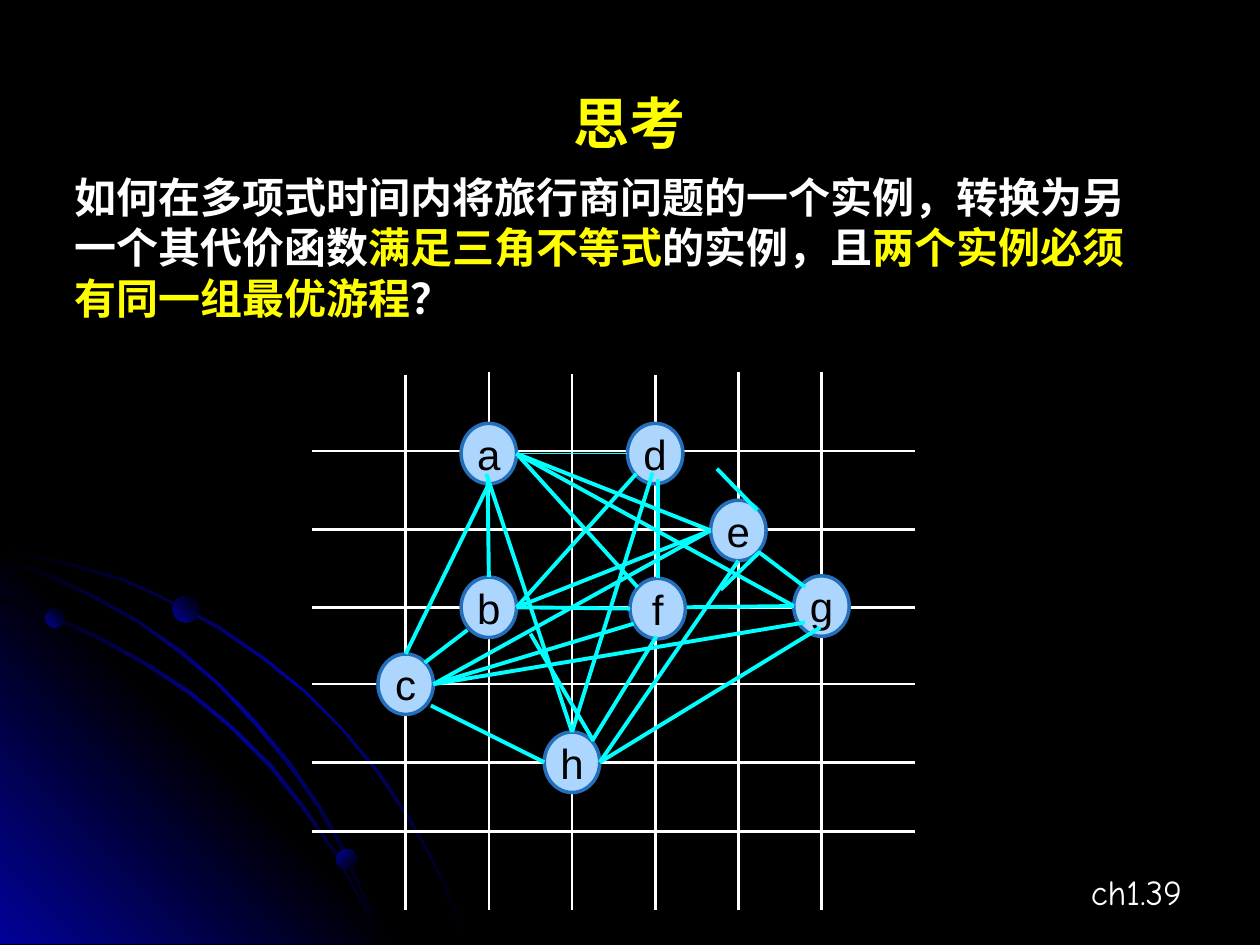
from lxml import etree
from pptx import Presentation
from pptx import util as u
from pptx.dml.color import RGBColor
from pptx.enum import shapes, text
from pptx.oxml import parse_xml
from pptx.oxml.ns import nsdecls, qn

PX = 9144  # one px is a hundredth of an inch
COLORS = {"black": "000000", "navy": "010199", "white": "FFFFFF", "yellow": "FFFF00",
          "cyan": "00FFFF", "node": "ADD6FF", "node_line": "236FBC"}

# Decorative arcs, relative to the swirl box
ARCS = [
    [(57, 47), (28, 41), (0, 35), (0, 38), (28, 43), (56, 49), (97, 61), (135, 78),
     (173, 99), (208, 123), (241, 149), (271, 179), (298, 212), (323, 249), (337, 273),
     (350, 298), (360, 323), (370, 349), (372, 349), (362, 323), (352, 298), (339, 273),
     (325, 248), (300, 211), (272, 178), (242, 148), (209, 121), (174, 97), (136, 77),
     (98, 59)],
    [(285, 314), (294, 332), (301, 349), (303, 349), (296, 330), (286, 312), (266, 276),
     (242, 240), (215, 206), (184, 176), (152, 149), (117, 126), (79, 105), (41, 88),
     (0, 75), (0, 77), (39, 90), (77, 107), (115, 128), (150, 151), (183, 178),
     (213, 208), (240, 242), (265, 277)],
    [(0, 42), (0, 44), (36, 57), (74, 75), (109, 94), (142, 118), (173, 144), (202, 175),
     (227, 205), (252, 241), (267, 267), (280, 294), (292, 322), (301, 349), (303, 349),
     (294, 320), (282, 293), (269, 265), (254, 239), (229, 203), (204, 173), (175, 143),
     (144, 116), (111, 93), (76, 73), (39, 55)],
]
CORNER = [(322, 349), (0, 349), (0, 27)]
BEADS = [(36, 83, 15, 315), (267, 274, 16, 45), (137, 73, 21, 315)]  # left, top, size, angle

# Graph: grid lines and nodes relative to the graph box, edge ends relative to a node
ROWS = [63, 125, 187, 248, 310, 365]
COLUMN_TOPS = [3, 0, 2, 3, 0, 0]
COLUMN_LEFT, COLUMN_STEP = 74, 66
NODE_WIDTH, NODE_HEIGHT = 44, 48
NODES = {"a": (118, 41), "d": (250, 41), "b": (118, 163), "c": (52, 224),
         "h": (184, 286), "e": (316, 102), "f": (252, 164), "g": (382, 162)}
TOP, LEFT, BOTTOM, RIGHT = (22, 0), (0, 24), (22, 48), (44, 24)
EDGES = [
    ("a", RIGHT, "d", LEFT), ("a", RIGHT, "f", (6, 7)), ("a", (21, 45), "b", TOP),
    ("a", BOTTOM, "c", TOP), ("c", (42, 41), "h", LEFT), ("b", (5, 42), "c", (37, 7)),
    ("b", RIGHT, "f", LEFT), ("e", (5, -25), "e", (37, 8)), ("e", (38, 41), "g", (9, 9)),
    ("g", (21, 41), "h", RIGHT), ("f", (21, 46), "h", (38, 7)), ("f", (45, 23), "g", LEFT),
    ("e", (39, 41), "e", (8, 71)), ("d", (24, 44), "f", TOP), ("d", (7, 40), "b", RIGHT),
    ("a", (20, 40), "h", TOP), ("f", (3, 36), "c", RIGHT), ("a", RIGHT, "g", LEFT),
    ("g", (9, 37), "c", RIGHT), ("e", LEFT, "c", RIGHT), ("b", (55, 45), "h", (39, 7)),
    ("d", (20, 39), "h", TOP), ("e", BOTTOM, "h", RIGHT), ("e", LEFT, "b", RIGHT),
    ("a", RIGHT, "e", LEFT),
]


def rgb(name):
    return RGBColor.from_string(COLORS[name])


def fill_gradient(shape, names, angle):
    """Spread the named colours evenly along a linear gradient without outline."""
    stops = "".join(
        f'<a:gs pos="{100000 * i // (len(names) - 1)}"><a:srgbClr val="{COLORS[name]}"/></a:gs>'
        for i, name in enumerate(names))
    gradient = parse_xml(f'<a:gradFill {nsdecls("a")} rotWithShape="1"><a:gsLst>{stops}</a:gsLst>'
                         f'<a:lin ang="{angle * 60000}" scaled="0"/></a:gradFill>')
    shape.fill.background()
    properties = shape._element.spPr
    properties.replace(properties.find(qn("a:noFill")), gradient)
    shape.line.fill.background()
    shape.shadow.inherit = False


def add_line(slide, start, end, color, width):
    line = slide.shapes.add_connector(shapes.MSO_CONNECTOR.STRAIGHT,
                                      *(v * PX for v in (*start, *end)))
    line.line.color.rgb = rgb(color)
    line.line.width = u.Pt(width)
    etree.SubElement(line._element.spPr, qn("a:effectLst"))


def write(paragraph, runs, alignment, **font_format):
    paragraph.alignment = alignment
    for words, color in runs:
        run = paragraph.add_run()
        run.text = words
        run.font.color.rgb = rgb(color)
        for key, value in font_format.items():
            setattr(run.font, key, value)


def add_text(slide, box, runs, alignment, anchor=text.MSO_ANCHOR.TOP, **font_format):
    frame = slide.shapes.add_textbox(*(v * PX for v in box)).text_frame
    frame.word_wrap = True
    frame.vertical_anchor = anchor
    write(frame.paragraphs[0], runs, alignment, **font_format)


def add_swirl(slide, box):
    left, top = box[:2]

    def add_outline(points, names, angle):
        placed = [(left + x, top + y) for x, y in points]
        builder = slide.shapes.build_freeform(*placed[0], scale=PX)
        builder.add_line_segments(placed[1:], close=True)
        fill_gradient(builder.convert_to_shape(), names, angle)

    arc_colors = ("black", "navy", "black")
    add_outline(ARCS[0], arc_colors, 45)
    add_outline(CORNER, ("navy", "black", "navy"), 315)
    for arc in ARCS[1:]:
        add_outline(arc, arc_colors, 45)
    for x, y, size, angle in BEADS:
        bead = slide.shapes.add_shape(shapes.MSO_SHAPE.OVAL, (left + x) * PX, (top + y) * PX,
                                      size * PX, size * PX)
        fill_gradient(bead, ("navy", "black"), angle)


def add_node(slide, left, top, name):
    node = slide.shapes.add_shape(shapes.MSO_SHAPE.OVAL, left * PX, top * PX,
                                  NODE_WIDTH * PX, NODE_HEIGHT * PX)
    node.shadow.inherit = False
    node.fill.solid()
    node.fill.fore_color.rgb = rgb("node")
    node.line.color.rgb = rgb("node_line")
    node.line.width = u.Pt(2)
    frame = node.text_frame
    frame_format = {"margin_left": 0, "margin_right": 0, "margin_top": 0, "margin_bottom": 0,
                    "word_wrap": False, "vertical_anchor": text.MSO_ANCHOR.MIDDLE}
    for key, value in frame_format.items():
        setattr(frame, key, value)
    write(frame.paragraphs[0], [(name, "black")], text.PP_ALIGN.CENTER,
          name="Arial", size=u.Pt(24))


def add_graph(slide, box):
    left, top, width, height = box
    # Grid
    for row in ROWS:
        add_line(slide, (left, top + row), (left + width, top + row), "white", 1.5)
    for i, column_top in enumerate(COLUMN_TOPS):
        x = left + COLUMN_LEFT + i * COLUMN_STEP
        add_line(slide, (x, top + column_top), (x, top + height), "white", 1.5)
    # Nodes
    for name, (x, y) in NODES.items():
        add_node(slide, left + x, top + y, name)

    # Edges, the first one thin
    def end_point(name, offset):
        x, y = NODES[name]
        return left + x + offset[0], top + y + offset[1]

    for i, (first, first_offset, second, second_offset) in enumerate(EDGES):
        add_line(slide, end_point(first, first_offset), end_point(second, second_offset),
                 "cyan", 2.25 if i else 0.75)


def main():
    presentation = Presentation()
    presentation.slide_width, presentation.slide_height = 1000 * PX, 750 * PX
    slide = presentation.slides.add_slide(presentation.slide_layouts[6])
    slide.background.fill.solid()
    slide.background.fill.fore_color.rgb = rgb("black")

    add_swirl(slide, (0, 400, 372, 349))
    # Page number, title and question
    add_text(slide, (720, 686, 228, 44), [("ch1.39", "white")], text.PP_ALIGN.RIGHT,
             name="Comic Neue", size=u.Pt(20))
    add_text(slide, (50, 54, 900, 85), [("思考", "yellow")], text.PP_ALIGN.CENTER,
             text.MSO_ANCHOR.MIDDLE, name="Arial", size=u.Pt(32), bold=True)
    question = [("如何在多项式时间内将旅行商问题的一个实例，转换为另一个其代价函数", "white"),
                ("满足三角不等式", "yellow"), ("的实例，且", "white"),
                ("两个实例必须有同一组最优游程", "yellow"), ("？", "white")]
    add_text(slide, (49, 131, 882, 130), question, text.PP_ALIGN.LEFT,
             name="Arial", size=u.Pt(24), bold=True)
    add_graph(slide, (248, 295, 478, 427))
    presentation.save("out.pptx")


if __name__ == "__main__":
    main()
